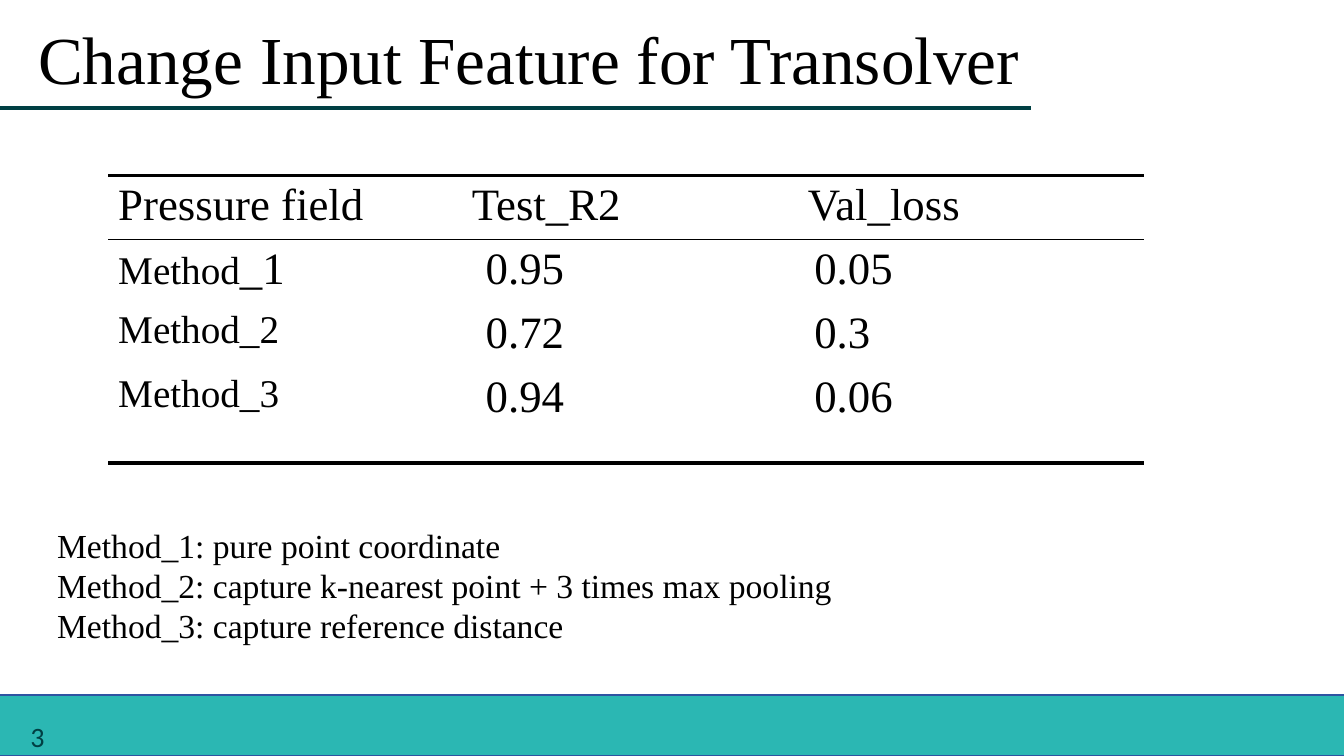
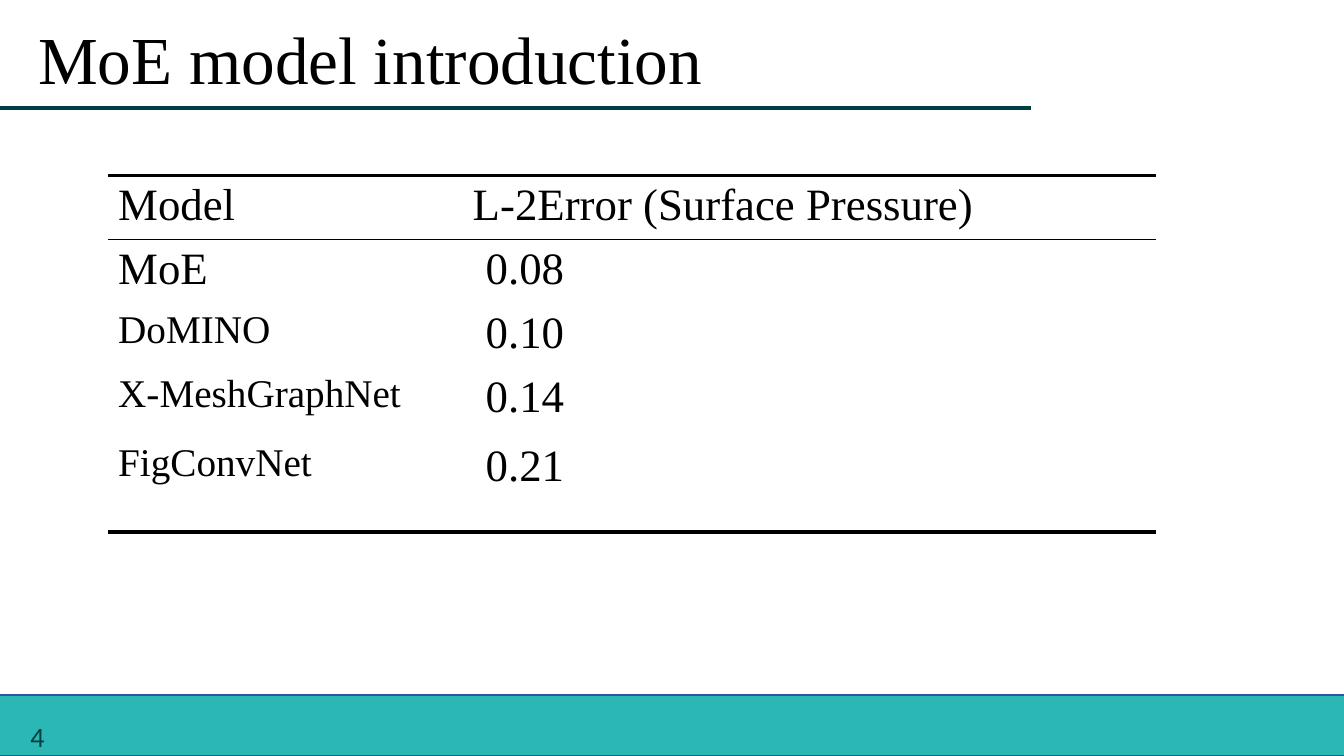
from pptx import Presentation
from pptx.dml.color import RGBColor
from pptx.enum.shapes import MSO_CONNECTOR, MSO_SHAPE
from pptx.enum.text import MSO_ANCHOR, PP_ALIGN
from pptx.oxml import parse_xml
from pptx.oxml.ns import nsdecls, qn
from pptx.util import Pt
from lxml.etree import SubElement

PX = 9525  # 96 px to the inch
BLACK = RGBColor(0x00, 0x00, 0x00)
TEAL = RGBColor(0x2B, 0xB7, 0xB3)
DARK_TEAL = RGBColor(0x00, 0x3F, 0x43)
BAND_EDGE = RGBColor(0x2E, 0x54, 0xA1)
SERIF = "Times New Roman"
LABEL, VALUE = 28, 32  # text sizes in the tables
THICK, THIN = 3, 1  # table rules in points


def add_run(paragraph, text, size, font=SERIF, color=BLACK):
    run = paragraph.add_run()
    run.text = text
    run.font.size = Pt(size)
    run.font.name = font
    run.font.color.rgb = color


def add_text_frame(slide, *box):
    """Add a wrapping text box at left, top, width, height in px."""
    frame = slide.shapes.add_textbox(*(n * PX for n in box)).text_frame
    frame.word_wrap = True
    return frame


# Column starts say where each cell of a header or body row begins; it ends at the next one.
# A cell is a list of (text, size) runs.
pages = [
    dict(
        number="3",
        title="Change Input Feature for Transolver",
        columns=[327, 22, 307, 6, 324],
        row_heights=[61, 61, 61, 91],
        header_starts=[0, 1, 3],
        body_starts=[0, 2, 4],
        rows=[
            [[("Pressure field", VALUE)], [(" Test_R2", VALUE)], [("Val_loss", VALUE)]],
            [[("Method", LABEL), ("_1", VALUE)], [("0.95", VALUE)], [("0.05", VALUE)]],
            [[("Method_2", LABEL)], [("0.72", VALUE)], [("0.3", VALUE)]],
            [[("Method_3", LABEL)], [("0.94", VALUE)], [("0.06", VALUE)]],
        ],
        notes=[
            "Method_1: pure point coordinate",
            "Method_2: capture k-nearest point + 3 times max pooling",
            "Method_3: capture reference distance",
        ],
    ),
    dict(
        number="4",
        title="MoE model introduction",
        columns=[327, 22, 324, 324],
        row_heights=[61, 61, 57, 66, 91],
        header_starts=[0, 1],
        body_starts=[0, 2, 3],
        rows=[
            [[("Model", VALUE)], [(" L-2Error (Surface Pressure)", VALUE)]],
            [[("MoE", VALUE)], [("0.08", VALUE)], []],
            [[("DoMINO", LABEL)], [("0.10", VALUE)], []],
            [[("X-MeshGraphNet", LABEL)], [("0.14", VALUE)], []],
            [[("FigConvNet", LABEL)], [("0.21", VALUE)], []],
        ],
        notes=[],
    ),
]

prs = Presentation()
prs.slide_width, prs.slide_height = 1280 * PX, 720 * PX

for page in pages:
    slide = prs.slides.add_slide(prs.slide_layouts[6])

    # Footer band, title rule and page number
    band = slide.shapes.add_shape(MSO_SHAPE.RECTANGLE, -1 * PX, 662 * PX, 1291 * PX, 58 * PX)
    band.shadow.inherit = False
    band.fill.solid()
    band.fill.fore_color.rgb = TEAL
    band.line.color.rgb = BAND_EDGE
    band.line.width = Pt(1)

    title_rule = slide.shapes.add_connector(
        MSO_CONNECTOR.STRAIGHT, 0, 103 * PX, 982 * PX, 103 * PX)
    title_rule.line.color.rgb = DARK_TEAL
    title_rule.line.width = Pt(2.5)
    SubElement(title_rule._element.spPr, qn("a:effectLst"))

    number_frame = add_text_frame(slide, -1, 682, 53, 38)
    number_frame.vertical_anchor = MSO_ANCHOR.MIDDLE
    number_frame.paragraphs[0].alignment = PP_ALIGN.RIGHT
    add_run(number_frame.paragraphs[0], page["number"], 20, "Calibri", DARK_TEAL)

    title_frame = add_text_frame(slide, 27, 12, 1252, 90)
    add_run(title_frame.paragraphs[0], page["title"], 48)

    # Table
    columns, heights = page["columns"], page["row_heights"]
    table = slide.shapes.add_table(
        len(heights), len(columns), 103 * PX, 167 * PX,
        sum(columns) * PX, sum(heights) * PX).table
    table.first_row = table.horz_banding = False
    for column, width in zip(table.columns, columns):
        column.width = width * PX

    last = len(heights) - 1
    for r, (cells, height) in enumerate(zip(page["rows"], heights)):
        table.rows[r].height = height * PX
        rules = {
            "lnT": {0: THICK, 1: THIN}.get(r),
            "lnB": {0: THIN, last: THICK}.get(r),
        }
        for c in range(len(columns)):
            cell = table.cell(r, c)
            properties = cell._tc.get_or_add_tcPr()
            for side in ("lnL", "lnR", "lnT", "lnB"):
                weight = rules.get(side)
                paint = (f'<a:solidFill><a:srgbClr val="{BLACK}"/></a:solidFill>'
                         if weight else "<a:noFill/>")
                properties.append(parse_xml(
                    f'<a:{side} {nsdecls("a")} w="{Pt(weight or 0)}">{paint}</a:{side}>'))
            cell.fill.background()

        starts = page["body_starts"] if r else page["header_starts"]
        for start, end, runs in zip(starts, starts[1:] + [len(columns)], cells):
            cell = table.cell(r, start)
            if end - start > 1:
                cell.merge(table.cell(r, end - 1))
            for text, size in runs:
                add_run(cell.text_frame.paragraphs[0], text, size)

    # Explanation of the methods
    if page["notes"]:
        notes_frame = add_text_frame(slide, 45, 495, 925, 126)
        for i, note in enumerate(page["notes"]):
            paragraph = notes_frame.add_paragraph() if i else notes_frame.paragraphs[0]
            add_run(paragraph, note, 24)

prs.save("out.pptx")
